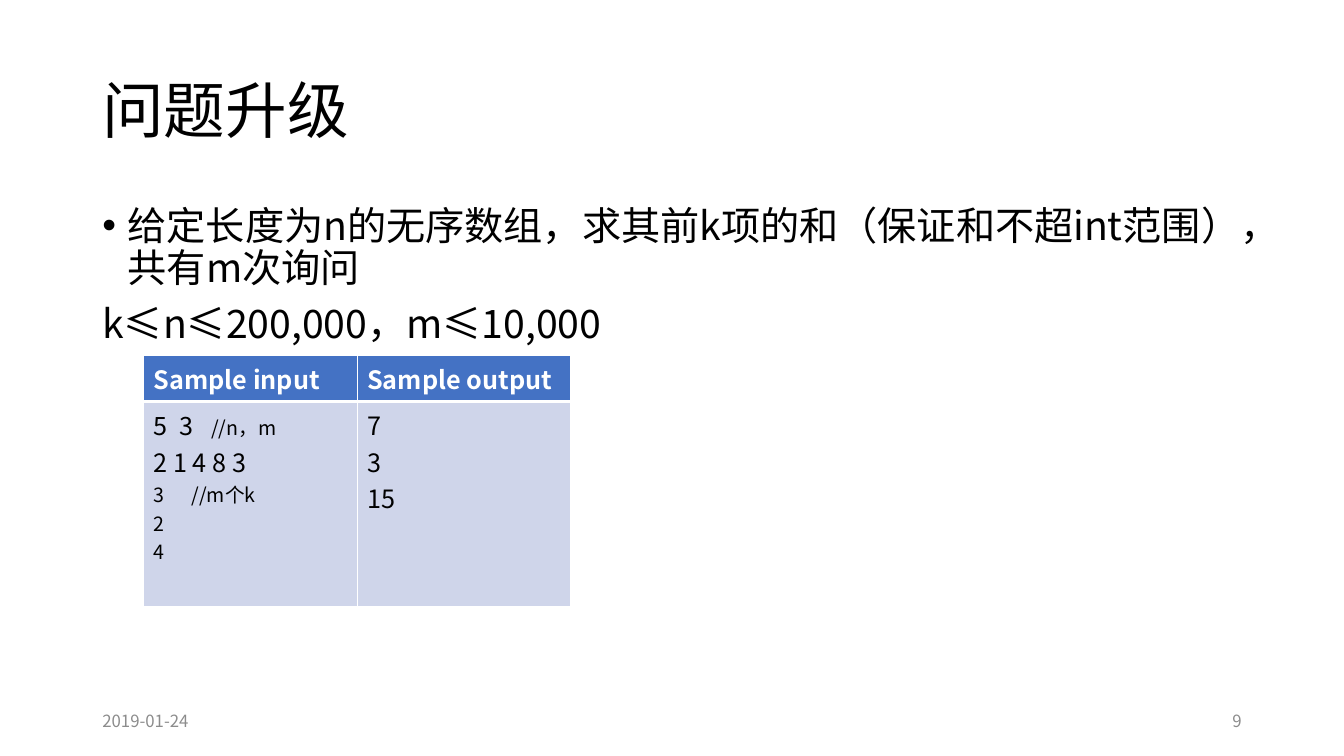
import pptx
import pptx.util
import pptx.dml.color
import pptx.enum.text
import pptx.oxml
import pptx.oxml.ns

Cm, Pt = pptx.util.Cm, pptx.util.Pt
PP_ALIGN = pptx.enum.text.PP_ALIGN
ANCHOR = pptx.enum.text.MSO_ANCHOR
RGB = pptx.dml.color.RGBColor.from_string
NS = pptx.oxml.ns.nsdecls("a")
FONT = "Noto Sans CJK SC"
COLORS = {"text": "000000", "footer": "8C8C8C", "white": "FFFFFF",
          "header": "4472C4", "cell": "CFD5EA"}


def write(p, texts, size, color="text", bold=False, ppr=""):
    """Fill a paragraph with runs; ppr holds bullet or tab elements."""
    for text in texts:
        p.add_run().text = text
    if ppr:
        for element in pptx.oxml.parse_xml(f"<a:pPr {NS}>{ppr}</a:pPr>"):
            p._p.get_or_add_pPr().append(element)
    p.font.size = Pt(size)
    p.font.bold = bold
    p.font.color.rgb = RGB(COLORS[color])
    p.font.name = FONT
    p.font._rPr.append(pptx.oxml.parse_xml(f'<a:ea {NS} typeface="{FONT}"/>'))


def add_text(left, top, width, height, anchor):
    tf = s.shapes.add_textbox(Cm(left), Cm(top), Cm(width), Cm(height)).text_frame
    tf.word_wrap = True
    tf.vertical_anchor = anchor
    return tf


prs = pptx.Presentation()
prs.slide_width, prs.slide_height = Cm(33.87), Cm(19.05)
s = prs.slides.add_slide(prs.slide_layouts[6])

# Title
p = add_text(2.33, 1.01, 29.21, 3.68, ANCHOR.MIDDLE).paragraphs[0]
p.line_spacing = 0.9
write(p, ["问题升级"], 44)

# Problem statement
tf = add_text(2.33, 5.07, 29.21, 12.09, ANCHOR.TOP)
p = tf.paragraphs[0]
p.line_spacing = 0.9
ppr = p._p.get_or_add_pPr()
ppr.set("marL", str(Cm(0.64)))
ppr.set("indent", str(-Cm(0.64)))
write(p, ["给定长度为n的无序数组，求其前k项的和（保证和不超int范围），共有m次询问"], 28,
      ppr='<a:buFont typeface="Arial"/><a:buChar char="•"/>')
p = tf.add_paragraph()
p.line_spacing = 0.9
p.space_before = Pt(10)
write(p, ["k≤n≤200,000，m≤10,000"], 28)

# Sample table
table = s.shapes.add_table(2, 2, Cm(3.62), Cm(8.95), Cm(10.76), Cm(6.33)).table
table.rows[0].height, table.rows[1].height = Cm(1.17), Cm(5.16)
for row in range(2):
    for col in range(2):
        cell = table.cell(row, col)
        for side in "LRTB":
            thick = (row, side) in ((0, "B"), (1, "T"))
            cell._tc.get_or_add_tcPr().append(pptx.oxml.parse_xml(
                f'<a:ln{side} {NS} w="{Pt(3 if thick else 1)}"><a:solidFill>'
                f'<a:srgbClr val="{COLORS["white"]}"/></a:solidFill></a:ln{side}>'))
        cell.fill.solid()
        cell.fill.fore_color.rgb = RGB(COLORS["cell" if row else "header"])

for col, heading in enumerate(["Sample input", "Sample output"]):
    write(table.cell(0, col).text_frame.paragraphs[0], [heading], 18, "white", True)

tabs = "".join(f'<a:tab pos="{Cm(x)}" algn="l"/>' for x in (0.65, 1.45))
numbering = '<a:buFont typeface="+mj-lt"/><a:buAutoNum type="arabicPlain" startAt="3"/>'
samples = [
    [(["5\t3\t", "//n，m"], 18, f"<a:tabLst>{tabs}</a:tabLst>"),
     (["2 1 4 8 3"], 18, ""),
     (["//m个k"], 14, numbering),
     (["2"], 14, ""),
     (["4"], 14, "")],
    [([value], 18, "") for value in ("7", "3", "15")],
]
for col, lines in enumerate(samples):
    tf = table.cell(1, col).text_frame
    for i, (texts, size, extra) in enumerate(lines):
        p = tf.add_paragraph() if i else tf.paragraphs[0]
        if extra == numbering:
            ppr = p._p.get_or_add_pPr()
            ppr.set("marL", str(Cm(0.95)))
            ppr.set("indent", str(-Cm(0.95)))
        write(p, texts, size, ppr=extra)
        for comment in p.runs[1:]:
            comment.font.size = Pt(14)

# Footer
for left, text, align in ((2.33, "2019-01-24", PP_ALIGN.LEFT), (23.92, "9", PP_ALIGN.RIGHT)):
    p = add_text(left, 17.66, 7.62, 1.01, ANCHOR.MIDDLE).paragraphs[0]
    p.alignment = align
    write(p, [text], 12, "footer")

prs.save("out.pptx")
